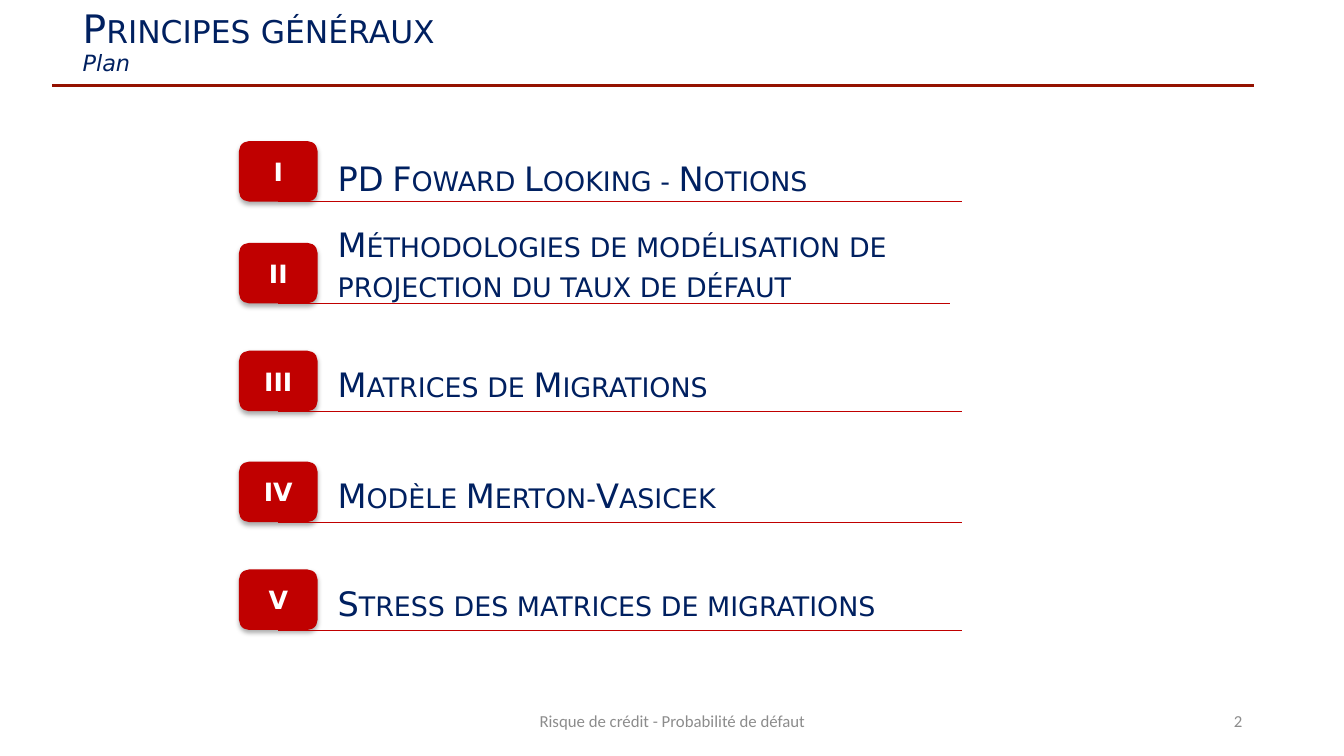
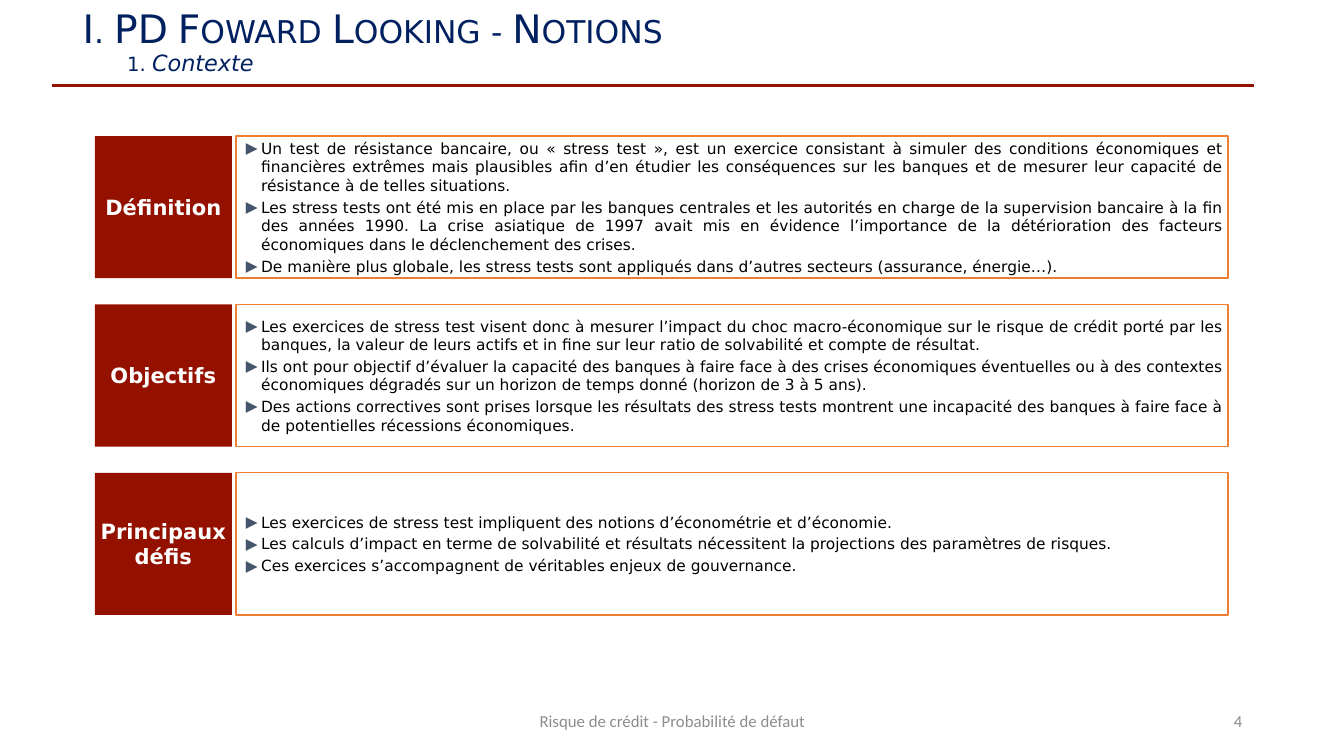
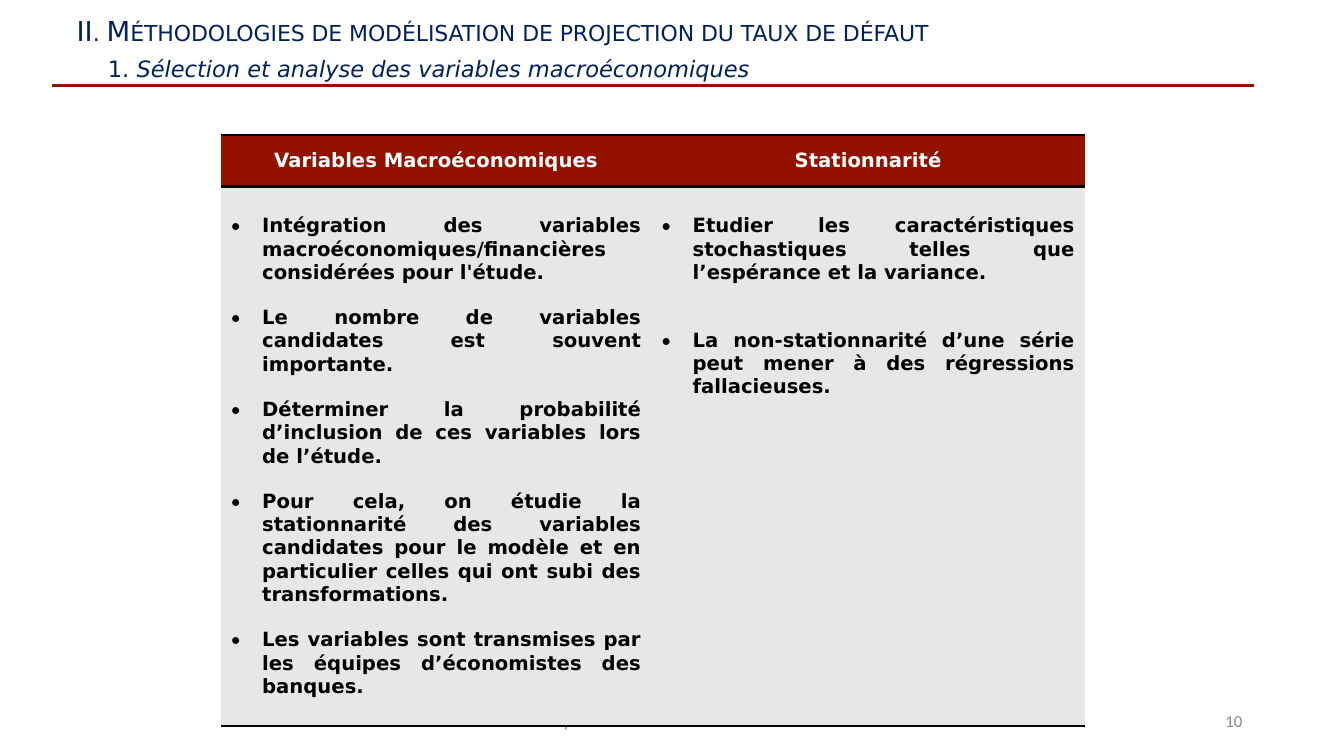
from lxml import etree
from pptx import Presentation
from pptx.dml.color import RGBColor
from pptx.enum.shapes import MSO_CONNECTOR as Conn, MSO_SHAPE as Shape
from pptx.enum.text import MSO_ANCHOR as Anchor, MSO_AUTO_SIZE as Auto, PP_ALIGN as Align
from pptx.oxml.ns import qn
from pptx.util import Inches, Pt

NAVY = RGBColor(0x00, 0x20, 0x60)
BRICK = RGBColor(0x94, 0x11, 0x00)
RED = RGBColor(0xC0, 0x00, 0x00)
ORANGE = RGBColor(0xED, 0x7D, 0x31)
SLATE = RGBColor(0x44, 0x54, 0x6A)
GRAY = RGBColor(0x8C, 0x8C, 0x8C)
PALE = RGBColor(0xE7, 0xE7, 0xE7)
WHITE = RGBColor(0xFF, 0xFF, 0xFF)
BLACK = RGBColor(0x00, 0x00, 0x00)

SANS, PLAIN = "DejaVu Sans", "Calibri"
FOOTER = "Risque de crédit - Probabilité de défaut"

# numeral, badge top, text top, text height, line end, label
AGENDA = [
    ("I", 1.4, 1.52, 0.5, 9.54, "PD Foward Looking - Notions"),
    ("II", 2.41, 2.17, 0.91, 9.42,
     "Méthodologies de modélisation de projection du taux de défaut"),
    ("III", 3.48, 3.56, 0.5, 9.54, "Matrices de Migrations"),
    ("IV", 4.58, 4.66, 0.5, 9.54, "Modèle Merton-Vasicek"),
    ("V", 5.65, 5.73, 0.5, 9.54, "Stress des matrices de migrations"),
]

CONTEXT = [
    ("Définition", [
        "Un test de résistance bancaire, ou « stress test », est un exercice consistant à "
        "simuler des conditions économiques et financières extrêmes mais plausibles afin "
        "d’en étudier les conséquences sur les banques et de mesurer leur capacité de "
        "résistance à de telles situations.",
        "Les stress tests ont été mis en place par les banques centrales et les autorités "
        "en charge de la supervision bancaire à la fin des années 1990. La crise asiatique "
        "de 1997 avait mis en évidence l’importance de la détérioration des facteurs "
        "économiques dans le déclenchement des crises.",
        "De manière plus globale, les stress tests sont appliqués dans d’autres secteurs "
        "(assurance, énergie…).",
    ]),
    ("Objectifs", [
        "Les exercices de stress test visent donc à mesurer l’impact du choc "
        "macro-économique sur le risque de crédit porté par les banques, la valeur de "
        "leurs actifs et in fine sur leur ratio de solvabilité et compte de résultat.",
        "Ils ont pour objectif d’évaluer la capacité des banques à faire face à des crises "
        "économiques éventuelles ou à des contextes économiques dégradés sur un horizon de "
        "temps donné (horizon de 3 à 5 ans).",
        "Des actions correctives sont prises lorsque les résultats des stress tests "
        "montrent une incapacité des banques à faire face à de potentielles récessions "
        "économiques.",
    ]),
    ("Principaux défis", [
        "Les exercices de stress test impliquent des notions d’économétrie et d’économie.",
        "Les calculs d’impact en terme de solvabilité et résultats nécessitent la "
        "projections des paramètres de risques.",
        "Ces exercices s’accompagnent de véritables enjeux de gouvernance.",
    ]),
]

# heading, gap between points in points, points
COLUMNS = [
    ("Variables Macroéconomiques", 16.4, [
        "Intégration des variables macroéconomiques/financières considérées pour l'étude.",
        "Le nombre de variables candidates est souvent importante.",
        "Déterminer la probabilité d’inclusion de ces variables lors de l’étude.",
        "Pour cela, on étudie la stationnarité des variables candidates pour le modèle et "
        "en particulier celles qui ont subi des transformations.",
        "Les variables sont transmises par les équipes d’économistes des banques.",
    ]),
    ("Stationnarité", 32.8, [
        "Etudier les caractéristiques stochastiques telles que l’espérance et la variance.",
        "La non-stationnarité d’une série peut mener à des régressions fallacieuses.",
    ]),
]


def style(item, **values):
    for name, value in values.items():
        setattr(item, name, value)


def node(parent, tag, **attrs):
    """Append a DrawingML element to parent."""
    child = etree.SubElement(parent, qn("a:" + tag))
    for name, value in attrs.items():
        child.set(name, str(value))
    return child


def write(par, text, size, color, caps=False, name=SANS, **font):
    run = par.add_run()
    run.text = text
    style(run.font, size=Pt(size), name=name, **font)
    run.font.color.rgb = color
    if caps:
        run.font._element.set("cap", "small")


def pars(frame, count):
    """Return count paragraphs, the frame's first one included."""
    return [frame.paragraphs[0]] + [frame.add_paragraph() for _ in range(count - 1)]


def label(slide, box, text, size, color, align=Align.LEFT, anchor=Anchor.TOP, **font):
    frame = slide.shapes.add_textbox(*map(Inches, box)).text_frame
    style(frame, word_wrap=True, vertical_anchor=anchor)
    frame.paragraphs[0].alignment = align
    write(frame.paragraphs[0], text, size, color, **font)


def block(slide, kind, box, fill, edge=None):
    shape = slide.shapes.add_shape(kind, *map(Inches, box))
    shape.shadow.inherit = False
    shape.fill.solid()
    shape.fill.fore_color.rgb = fill
    if edge is None:
        shape.line.fill.background()
    else:
        shape.line.color.rgb = edge
        shape.line.width = Pt(1)
    style(shape.text_frame, word_wrap=True, vertical_anchor=Anchor.MIDDLE)
    return shape


def rule(slide, start, end, color, width):
    ends = map(Inches, (*start, *end))
    line = slide.shapes.add_connector(Conn.STRAIGHT, *ends)
    line.line.color.rgb = color
    line.line.width = Pt(width)
    node(line._element.spPr, "effectLst")
    return line


def bullet(par, text, size, mark, color, font, indent, hang, **form):
    style(par, alignment=Align.JUSTIFY, **form)
    props = par._p.get_or_add_pPr()
    props.set("marL", str(Inches(indent)))
    props.set("indent", str(-Inches(hang)))
    node(node(props, "buClr"), "srgbClr", val=color)
    node(props, "buFont", typeface=font)
    node(props, "buChar", char=mark)
    write(par, text, size, BLACK, bold=font == PLAIN)


def start(deck, page, title, sub, number="", indent=0, sizes=(28, 14, 16),
          place=(0.72, 0), **form):
    """Add a slide with the title, rule and footer that all slides share."""
    slide = deck.slides.add_slide(deck.slide_layouts[5])
    head = slide.shapes.title
    left, top = place
    style(head, left=Inches(left), top=Inches(top), width=Inches(10.97), height=Inches(0.85))
    frame = head.text_frame
    style(frame, auto_size=Auto.NONE, word_wrap=True, vertical_anchor=Anchor.MIDDLE)
    first, second = pars(frame, 2)
    for par in (first, second):
        style(par, alignment=Align.LEFT, space_before=Pt(0), line_spacing=0.9)
    style(first, line_spacing=form.get("line_spacing", 0.9))
    style(second, **form)
    second._p.get_or_add_pPr().set("marL", str(Inches(indent)))
    big, mid, small = sizes
    write(first, title, big, NAVY, caps=True)
    if number:
        write(second, number + " ", mid, NAVY)
    write(second, sub, small, NAVY, italic=True)

    rule(slide, (0.52, 0.85), (12.44, 0.85), BRICK, 2.25)
    for box, text, align in (((4.42, 6.95, 4.5, 0.4), FOOTER, Align.CENTER),
                             ((9.42, 6.95, 3, 0.4), str(page), Align.RIGHT)):
        label(slide, box, text, 12, GRAY, align, Anchor.MIDDLE, name=PLAIN)
    return slide


def badge(slide, top, text):
    shape = block(slide, Shape.ROUNDED_RECTANGLE, (2.37, top, 0.78, 0.6), RED)
    effects = shape._element.spPr.find(qn("a:effectLst"))
    shadow = node(effects, "outerShdw", blurRad=Pt(3.5), dist=Pt(2.2),
                  dir=5400000, rotWithShape=0)
    node(node(shadow, "srgbClr", val=BLACK), "alpha", val=32000)
    par = shape.text_frame.paragraphs[0]
    par.alignment = Align.CENTER
    write(par, text, 18, WHITE, bold=True)
    return shape


def agenda(deck):
    slide = start(deck, 2, "Principes généraux", "Plan")
    for numeral, top, text_top, height, end, text in AGENDA:
        mark = badge(slide, top, numeral)
        line = rule(slide, (2.76, top + 0.6), (end, top + 0.6), RED, 0.5)
        line.begin_connect(mark, 2)
        label(slide, (3.25, text_top, 6.19, height), text, 24, NAVY, caps=True)


def context(deck):
    slide = start(deck, 4, "I. PD Foward Looking - Notions", "Contexte", "1.", 0.44)
    for row, (name, points) in enumerate(CONTEXT):
        top = 1.35 + 1.67 * row
        tag = block(slide, Shape.PENTAGON, (0.94, top, 1.36, 1.41), BRICK)
        body = block(slide, Shape.PENTAGON, (2.34, top, 9.84, 1.41), WHITE, ORANGE)
        for shape, pad in ((tag, 0.08), (body, 0.04)):
            shape.adjustments[0] = 0
            style(shape.text_frame, margin_left=Inches(0.04), margin_right=Inches(0.04),
                  margin_top=Inches(pad), margin_bottom=Inches(pad))
        par = tag.text_frame.paragraphs[0]
        par.alignment = Align.CENTER
        write(par, name, 15, WHITE, bold=True)
        for par, text in zip(pars(body.text_frame, len(points)), points):
            bullet(par, text, 11, "▶", SLATE, SANS, 0.21, 0.15, space_after=Pt(2.4))


def border(cell, sides):
    """Draw black lines on the given sides, such as lnT and lnB."""
    props = cell._tc.get_or_add_tcPr()
    for spot, side in enumerate(sides):
        line = etree.Element(qn("a:" + side), w=str(Pt(2)))
        node(node(line, "solidFill"), "srgbClr", val=BLACK)
        props.insert(spot, line)


def paint(cell, fill, sides):
    cell.fill.solid()
    cell.fill.fore_color.rgb = fill
    border(cell, sides)


def methods(deck):
    slide = start(deck, 10, "II. Méthodologies de modélisation de projection du taux de défaut",
                  "Sélection et analyse des variables macroéconomiques", "1.", 0.31,
                  (19.6, 16.1, 16.1), (0.66, 0.05), line_spacing=1.0, space_before=Pt(6))
    box = map(Inches, (2.19, 1.34, 8.57, 5.86))
    table = slide.shapes.add_table(2, 2, *box).table
    style(table, first_row=False, horz_banding=False)
    # The built-in style without fills or grid
    table._tbl.tblPr.find(qn("a:tableStyleId")).text = "{2D5ABB26-0587-4C30-8999-92F81FD0307C}"
    for row, height in zip(table.rows, (0.51, 5.35)):
        row.height = Inches(height)
    for col, (name, gap, points) in enumerate(COLUMNS):
        table.columns[col].width = Inches((4.27, 4.3)[col])
        head, body = table.cell(0, col), table.cell(1, col)
        paint(head, BRICK, ("lnT", "lnB"))
        paint(body, PALE, ("lnT", "lnB"))
        head.vertical_anchor = Anchor.MIDDLE
        par = head.text_frame.paragraphs[0]
        par.alignment = Align.CENTER
        write(par, name, 14, WHITE, bold=True)
        body.margin_top = Inches(0.28)
        for par, text in zip(pars(body.text_frame, len(points)), points):
            bullet(par, text, 14, "•", BLACK, PLAIN, 0.31, 0.31, space_after=Pt(gap))


def main():
    deck = Presentation()
    style(deck, slide_width=Inches(13.33), slide_height=Inches(7.5))
    agenda(deck)
    context(deck)
    methods(deck)
    deck.save("out.pptx")


if __name__ == "__main__":
    main()
